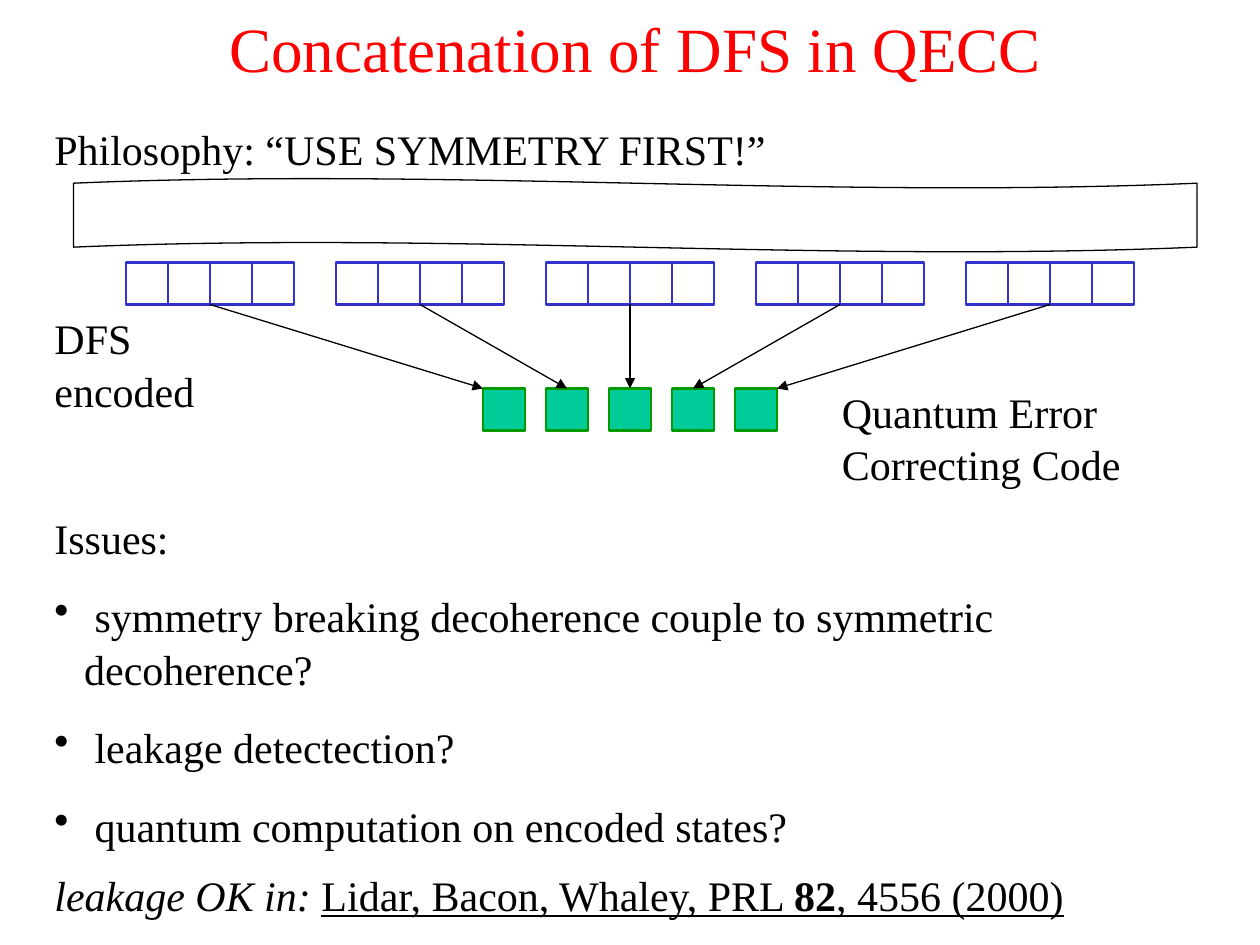
from pptx import Presentation
from pptx.dml.color import RGBColor
from pptx.enum import shapes, text
from pptx.oxml import parse_xml
from pptx.oxml import ns
from pptx.util import Pt

RED = RGBColor(0xFF, 0x00, 0x00)
BLACK = RGBColor(0x00, 0x00, 0x00)
BLUE = RGBColor(0x33, 0x33, 0xCC)
TEAL = RGBColor(0x00, 0xCC, 0x99)
GREEN = RGBColor(0x00, 0x99, 0x00)
FONT = "Times New Roman"

TITLE = "Concatenation of DFS in QECC"
LABELS = [
    ("Philosophy: “USE SYMMETRY FIRST!”", (24, 66, 432, 36)),
    ("DFS encoded", (24, 174, 126, 65)),
    ("Quantum Error Correcting Code", (474, 216, 246, 65)),
]
ISSUES_HEADING = "Issues:"
ISSUES = [
    " symmetry breaking decoherence couple to symmetric decoherence?",
    " leakage detectection?",
    " quantum computation on encoded states?",
]
CITATION = [
    ("leakage OK in: ", {"italic": True}),
    ("Lidar, Bacon, Whaley, PRL ", {"underline": True}),
    ("82", {"underline": True, "bold": True}),
    (", 4556 (2000)", {"underline": True}),
]

CELL = 24
CELLS_PER_BLOCK = 4
BLOCK_LEFT, BLOCK_TOP, BLOCK_PITCH = 72, 150, 120
CODE_LEFT, CODE_TOP, CODE_PITCH = 276, 222, 36
ARROW_TARGETS = [0, 0.5, 0.5, 0.5, 1]
BULLET_INDENT = 17

deck = Presentation()
deck.slide_width, deck.slide_height = Pt(720), Pt(540)
page = deck.slides.add_slide(deck.slide_layouts[6])


def add_bullet(para):
    props = para._p.get_or_add_pPr()
    props.set("marL", str(Pt(BULLET_INDENT)))
    props.set("indent", str(-Pt(BULLET_INDENT)))
    props.append(parse_xml(f'<a:buChar {ns.nsdecls("a")} char="•"/>'))


def write(para, content, size=24, color=BLACK, align=None, before=0, bullet=False):
    if bullet:
        add_bullet(para)
    para.alignment = align
    para.space_before = Pt(before)
    para.line_spacing = 1.04
    spans = [(content, {})] if isinstance(content, str) else content
    for words, styles in spans:
        span = para.add_run()
        span.text = words
        span.font.name = FONT
        span.font.size = Pt(size)
        span.font.color.rgb = color
        for name, value in styles.items():
            setattr(span.font, name, value)


def add_text(place, content, **style):
    box = page.shapes.add_textbox(*map(Pt, place))
    frame = box.text_frame
    frame.word_wrap = True
    frame.auto_size = text.MSO_AUTO_SIZE.SHAPE_TO_FIT_TEXT
    write(frame.paragraphs[0], content, **style)
    return frame


def add_outline(kind, place, line, width, fill=None):
    shape = page.shapes.add_shape(kind, *map(Pt, place))
    shape.shadow.inherit = False
    if fill is None:
        shape.fill.background()
    else:
        shape.fill.solid()
        shape.fill.fore_color.rgb = fill
    shape.line.color.rgb = line
    shape.line.width = Pt(width)
    return shape


def add_arrow(start, end):
    arrow = page.shapes.add_connector(
        shapes.MSO_CONNECTOR.STRAIGHT, *map(Pt, start + end))
    arrow.line.color.rgb = BLACK
    arrow.line.width = Pt(0.75)
    arrow.line._get_or_add_ln().append(
        parse_xml(f'<a:tailEnd {ns.nsdecls("a")} type="triangle"/>'))
    arrow._element.spPr.append(parse_xml(f'<a:effectLst {ns.nsdecls("a")}/>'))


add_text((0, 0, 726, 50), TITLE, size=36, color=RED, align=text.PP_ALIGN.CENTER)
for label, place in LABELS:
    add_text(place, label)

wave = add_outline(shapes.MSO_SHAPE.WAVE, (42, 102, 642, 42), BLACK, 0.75)
wave.adjustments[0] = 0.065

for index, target in enumerate(ARROW_TARGETS):
    block_left = BLOCK_LEFT + index * BLOCK_PITCH
    code_left = CODE_LEFT + index * CODE_PITCH
    for cell in range(CELLS_PER_BLOCK):
        add_outline(shapes.MSO_SHAPE.RECTANGLE,
                    (block_left + cell * CELL, BLOCK_TOP, CELL, CELL), BLUE, 1.5)
    add_outline(shapes.MSO_SHAPE.RECTANGLE,
                (code_left, CODE_TOP, CELL, CELL), GREEN, 1.5, fill=TEAL)
    add_arrow((block_left + CELLS_PER_BLOCK * CELL / 2, BLOCK_TOP + CELL),
              (code_left + target * CELL, CODE_TOP))

issues = add_text((24, 288, 684, 168), ISSUES_HEADING)
for issue in ISSUES:
    write(issues.add_paragraph(), issue, before=15, bullet=True)

add_text((24, 492, 660, 36), CITATION)

deck.save("out.pptx")
